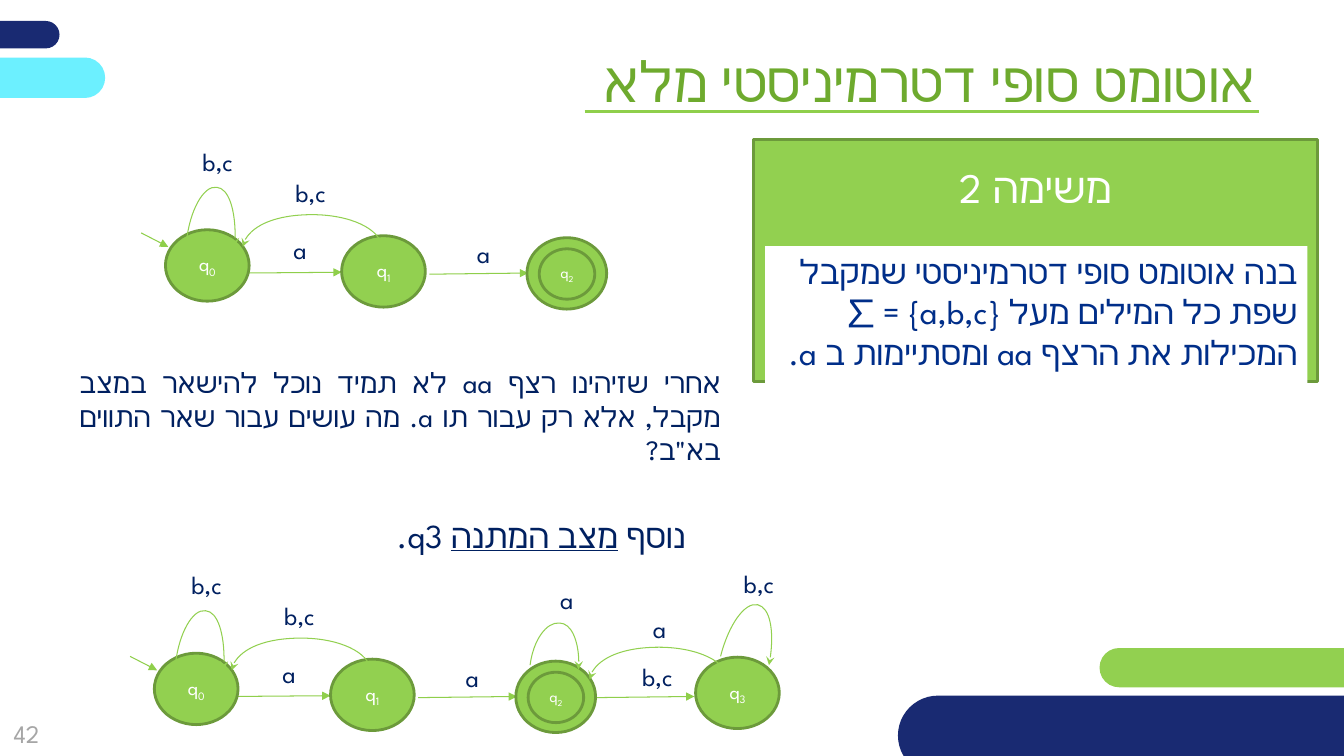
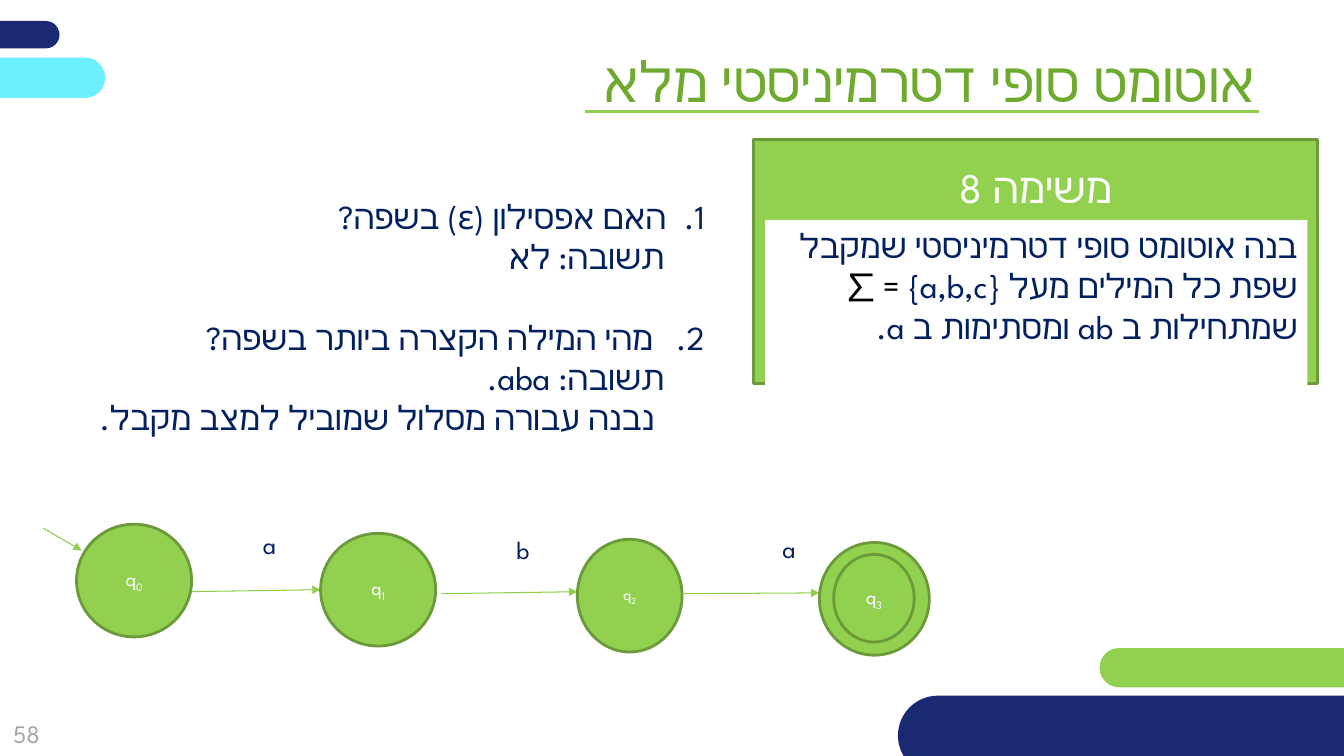
from lxml import etree
from pptx import Presentation
from pptx.dml.color import RGBColor
from pptx.enum.shapes import MSO_CONNECTOR, MSO_SHAPE
from pptx.enum.text import MSO_ANCHOR, PP_ALIGN
from pptx.oxml.ns import qn
from pptx.util import Cm, Pt

STRAIGHT = MSO_CONNECTOR.STRAIGHT
RECTANGLE, OVAL, PILL = MSO_SHAPE.RECTANGLE, MSO_SHAPE.OVAL, MSO_SHAPE.ROUNDED_RECTANGLE
TOP, MIDDLE = MSO_ANCHOR.TOP, MSO_ANCHOR.MIDDLE
CENTER, RIGHT, JUSTIFY = PP_ALIGN.CENTER, PP_ALIGN.RIGHT, PP_ALIGN.JUSTIFY

THEME = {
    "font": "League Spartan",
    "colors": {
        "navy": "192A72", "cyan": "6CF0FF", "green": "92D050", "outline": "6C9A3B",
        "rule": "8FCF4B", "title": "6EAA2E", "text": "002060", "royal": "002E89",
        "gray": "A6A6A6", "black": "000000", "white": "FFFFFF",
    },
    "styles": {
        "title": {"size": 40, "color": "title", "align": RIGHT},
        "heading": {"size": 30, "color": "white", "align": CENTER},
        "body": {"size": 24, "color": "text", "align": RIGHT},
        "task": {"size": 24, "color": "royal", "align": RIGHT},
        "note": {"size": 20, "color": "text", "align": JUSTIFY},
        "label": {"size": 18, "color": "text", "align": RIGHT},
        "state": {"size": 14, "color": "white", "align": CENTER},
        "small state": {"size": 11, "color": "white", "align": CENTER},
        "page": {"size": 18, "color": "gray", "align": CENTER},
    },
}

TITLE = "אוטומט סופי דטרמיניסטי מלא"
BANDS = [
    ("navy", (-6.76, 0.53, 8.26, 0.69)),
    ("green", (27.71, 16.33, 13.23, 0.99)),
    ("cyan", (-5.61, 1.45, 8.26, 1.02)),
    ("navy", (22.63, 17.53, 14.38, 2.01)),
]

BACK_ARC = [(5.84, 16.89), (5.89, 16.43), (6.68, 16.08), (7.59, 16.08),
            (8.53, 16.08), (9.32, 16.43), (9.35, 16.92)]
LOOP_Q0 = [(5.64, 16.87), (5.69, 16.08), (5.49, 15.41), (5.18, 15.39),
           (4.85, 15.34), (4.5, 15.98), (4.42, 16.76)]
LOOP_Q2 = [(14.58, 16.87), (14.63, 16.26), (14.4, 15.7), (14.1, 15.7),
           (13.77, 15.67), (13.44, 16.13), (13.36, 16.76)]
LOOP_Q3 = [(19.38, 16.76), (19.53, 16), (19.41, 15.32), (19.1, 15.24),
           (18.77, 15.16), (18.36, 15.75), (18.16, 16.54)]

PARTIAL = {
    "arrows": [((3.28, 16.54), (3.96, 16.89)), ((5.84, 17.55), (8.33, 17.53)),
               ((10.54, 17.58), (13.03, 17.55))],
    "states": [("0", "state", (3.89, 16.46, 2.11, 1.8)),
               ("1", "state", (8.33, 16.61, 2.11, 1.8)),
               (None, "state", (13, 16.66, 2.01, 1.8)),
               ("2", "small state", (13.31, 16.94, 1.4, 1.27))],
    "labels": [("a", (11, 16.56, 1.32, 1.02)), ("a", (6.71, 16.46, 0.99, 1.02)),
               ("b,c", (4.14, 14.22, 1.7, 1.02)), ("b,c", (6.48, 15.01, 1.7, 1.02))],
    "curves": [(BACK_ARC, (0, 0)), (LOOP_Q0, (0, 0))],
}
TRAP_STATE = {
    "arrows": [((15.01, 17.58), (17.5, 17.55))],
    "states": [("3", "state", (17.53, 16.56, 2.11, 1.8))],
    "labels": [("a", (12.9, 14.6, 1.8, 1.02)), ("b,c", (15.57, 16.54, 1.63, 1.02)),
               ("b,c", (18.06, 14.2, 1.7, 1.02)), ("a", (15.24, 15.34, 1.8, 1.02))],
    "curves": [(LOOP_Q2, (0, 0)), (LOOP_Q3, (0, 0)), (BACK_ARC, (9.02, 0.23))],
}
COMPLETE = {part: PARTIAL[part] + TRAP_STATE[part] for part in PARTIAL}
SHORTEST_PATH = {
    "arrows": [((1.09, 13.31), (2.06, 13.87)), ((4.65, 14.91), (8.08, 14.86)),
               ((11.13, 14.96), (14.55, 14.91)), ((17.22, 14.96), (20.65, 14.94))],
    "states": [("0", "state", (1.93, 13.21, 2.9, 2.84)),
               ("1", "state", (8.08, 13.44, 2.9, 2.84)),
               ("2", "small state", (14.55, 13.59, 2.64, 2.84)),
               (None, "state", (20.65, 13.67, 2.77, 2.84)),
               ("3", "state", (21.01, 13.97, 2.03, 2.21))],
    "labels": [("a", (5.84, 13.21, 1.37, 1.63)), ("b", (11.76, 13.34, 1.83, 1.63)),
               ("a", (18.06, 13.31, 2.24, 1.63))],
    "curves": [],
}

SLIDES = [
    {
        "page": "42",
        "heading": "משימה 2",
        "panel_height": 6.1,
        "task_top": 6.2,
        "task_style": "task",
        "task": [("בנה אוטומט סופי דטרמיניסטי שמקבל שפת כל המילים מעל {a,b,c} = ∑ "
                  "המכילות את הרצף aa ומסתיימות ב a.", {})],
        "texts": [
            ("body", (8.92, 12.85, 8.61, 1.27),
             [([("נוסף ", {}), ("מצב המתנה", {"underline": True}), (" q3.", {})], {})]),
            ("note", (1.75, 9.09, 16.66, 2.82),
             [([("אחרי שזיהינו רצף aa לא תמיד נוכל להישאר במצב מקבל, אלא רק עבור תו a. "
                 "מה עושים עבור שאר התווים בא\"ב?", {})], {})]),
        ],
        "automata": [(COMPLETE, (0, 0)), (PARTIAL, (0.28, -10.67))],
    },
    {
        "page": "58",
        "heading": "משימה 8",
        "panel_height": 6.15,
        "task_top": 5.54,
        "task_style": "body",
        "task": [("בנה אוטומט סופי דטרמיניסטי שמקבל שפת כל המילים מעל {a,b,c} ", {}),
                 ("= ∑ ", {"color": "black"}),
                 ("שמתחילות ב ab ומסתימות ב a.", {})],
        "texts": [
            ("body", (2.13, 4.8, 15.88, 7.44), [
                ([("האם אפסילון (ε) בשפה?", {})], {"margin": 0.97, "number": 1}),
                ([("תשובה: לא", {})], {"margin": 1.02}),
                ([("מהי המילה הקצרה ביותר בשפה?", {})],
                 {"margin": 1.3, "number": 2, "before": 29}),
                ([("תשובה: aba.", {})], {"margin": 1.02}),
                ([("נבנה עבורה מסלול שמוביל למצב מקבל.", {})], {"margin": 1.27}),
            ]),
        ],
        "automata": [(SHORTEST_PATH, (0, 0))],
    },
]


def color(name):
    return RGBColor.from_string(THEME["colors"][name])


def lengths(values):
    return [Cm(value) for value in values]


def moved(point, shift):
    return point[0] + shift[0], point[1] + shift[1]


def format_run(run, style, changes):
    values = {"size": Pt(style["size"]), "name": THEME["font"], **changes}
    run.font.color.rgb = color(values.pop("color", style["color"]))
    properties = run.font._element
    baseline = values.pop("baseline", None)
    if baseline:
        properties.set("baseline", str(baseline))
    for name, value in values.items():
        setattr(run.font, name, value)
    etree.SubElement(properties, qn("a:cs"), typeface=THEME["font"])


def layout_paragraph(paragraph, layout):
    properties = paragraph._p.get_or_add_pPr()
    margin = Cm(layout.get("margin", 0))
    properties.set("marL", str(margin))
    properties.set("indent", str(-margin if "number" in layout else 0))
    if "number" in layout:
        etree.SubElement(properties, qn("a:buAutoNum"), type="arabicPeriod",
                         startAt=str(layout["number"]))
    if "before" in layout:
        paragraph.space_before = Pt(layout["before"])


def write(shape, style_name, paragraphs, anchor=TOP, wrap=True, right_to_left=True):
    style = THEME["styles"][style_name]
    frame = shape.text_frame
    frame.word_wrap = wrap
    frame.vertical_anchor = anchor
    for index, (runs, layout) in enumerate(paragraphs):
        paragraph = frame.add_paragraph() if index else frame.paragraphs[0]
        paragraph.alignment = style["align"]
        paragraph._p.get_or_add_pPr().set("rtl", str(int(right_to_left)))
        if layout:
            layout_paragraph(paragraph, layout)
        for text, changes in runs:
            run = paragraph.add_run()
            run.text = text
            format_run(run, style, changes)


def add_text(shapes, box, style_name, paragraphs, **options):
    write(shapes.add_textbox(*lengths(box)), style_name, paragraphs, **options)


def add_block(shapes, kind, box, fill, outline=None):
    shape = shapes.add_shape(kind, *lengths(box))
    shape.shadow.inherit = False
    shape.fill.solid()
    shape.fill.fore_color.rgb = color(fill)
    if outline:
        shape.line.color.rgb = color(outline)
        shape.line.width = Pt(2)
    else:
        shape.line.fill.background()
    return shape


def add_line(shapes, start, end, width, arrow=False):
    connector = shapes.add_connector(STRAIGHT, *lengths(start + end))
    connector.line.color.rgb = color("rule")
    connector.line.width = Pt(width)
    if arrow:
        etree.SubElement(connector.line._get_or_add_ln(), qn("a:tailEnd"), type="triangle")
    etree.SubElement(connector._element.spPr, qn("a:effectLst"))


def add_curve(shapes, points):
    start, *others = [tuple(lengths(point)) for point in points]
    builder = shapes.build_freeform(*start)
    builder.add_line_segments(others, close=False)
    shape = builder.convert_to_shape()
    shape.shadow.inherit = False
    shape.fill.background()
    shape.line.color.rgb = color("green")
    shape.line.width = Pt(0.75)
    etree.SubElement(shape.line._get_or_add_ln(), qn("a:headEnd"), type="stealth")
    outline = shape._element.spPr.find(".//" + qn("a:path"))
    segments = outline.findall(qn("a:lnTo"))
    for first in range(0, len(segments), 3):
        bezier = etree.SubElement(outline, qn("a:cubicBezTo"))
        for segment in segments[first:first + 3]:
            bezier.append(segment[0])
            outline.remove(segment)


def add_automaton(slide, automaton, shift):
    shapes = slide.shapes.add_group_shape().shapes
    for start, end in automaton["arrows"]:
        add_line(shapes, moved(start, shift), moved(end, shift), 0.75, arrow=True)
    for index, style_name, box in automaton["states"]:
        state = add_block(shapes, OVAL, moved(box, shift) + box[2:], "green", "outline")
        if index:
            name = [("q", {}), (index, {"baseline": -25000})]
            write(state, style_name, [(name, {})], anchor=MIDDLE, wrap=False)
    for text, box in automaton["labels"]:
        add_text(shapes, moved(box, shift) + box[2:], "label", [([(text, {})], {})])
    for points, offset in automaton["curves"]:
        add_curve(shapes, [moved(moved(point, offset), shift) for point in points])


def add_frame(slide, page):
    for fill, box in BANDS:
        add_block(slide.shapes, PILL, box, fill).adjustments[0] = 0.5
    add_text(slide.shapes, (-0.46, 17.75, 2.26, 1.45), "page", [([(page, {})], {})],
             anchor=MIDDLE, right_to_left=False)
    add_line(slide.shapes, (14.73, 2.82), (31.72, 2.82), 2.25)
    add_text(slide.shapes, (11.18, 1.04, 20.73, 1.96), "title", [([(TITLE, {})], {})])


def add_task(slide, content):
    panel = add_block(slide.shapes, RECTANGLE, (19, 3.51, 14.2, content["panel_height"]),
                      "green", "outline")
    panel.text_frame.margin_top = Cm(0.55)
    write(panel, "heading", [([(content["heading"], {})], {})])
    task = add_block(slide.shapes, RECTANGLE, (19.28, content["task_top"], 13.67, 4.37), "white")
    write(task, content["task_style"], [(content["task"], {})])


def main():
    presentation = Presentation()
    presentation.slide_width, presentation.slide_height = Cm(33.87), Cm(19.05)
    for content in SLIDES:
        slide = presentation.slides.add_slide(presentation.slide_layouts[6])
        add_frame(slide, content["page"])
        add_task(slide, content)
        for style_name, box, paragraphs in content["texts"]:
            add_text(slide.shapes, box, style_name, paragraphs)
        for automaton, shift in content["automata"]:
            add_automaton(slide, automaton, shift)
    presentation.save("out.pptx")


if __name__ == "__main__":
    main()
